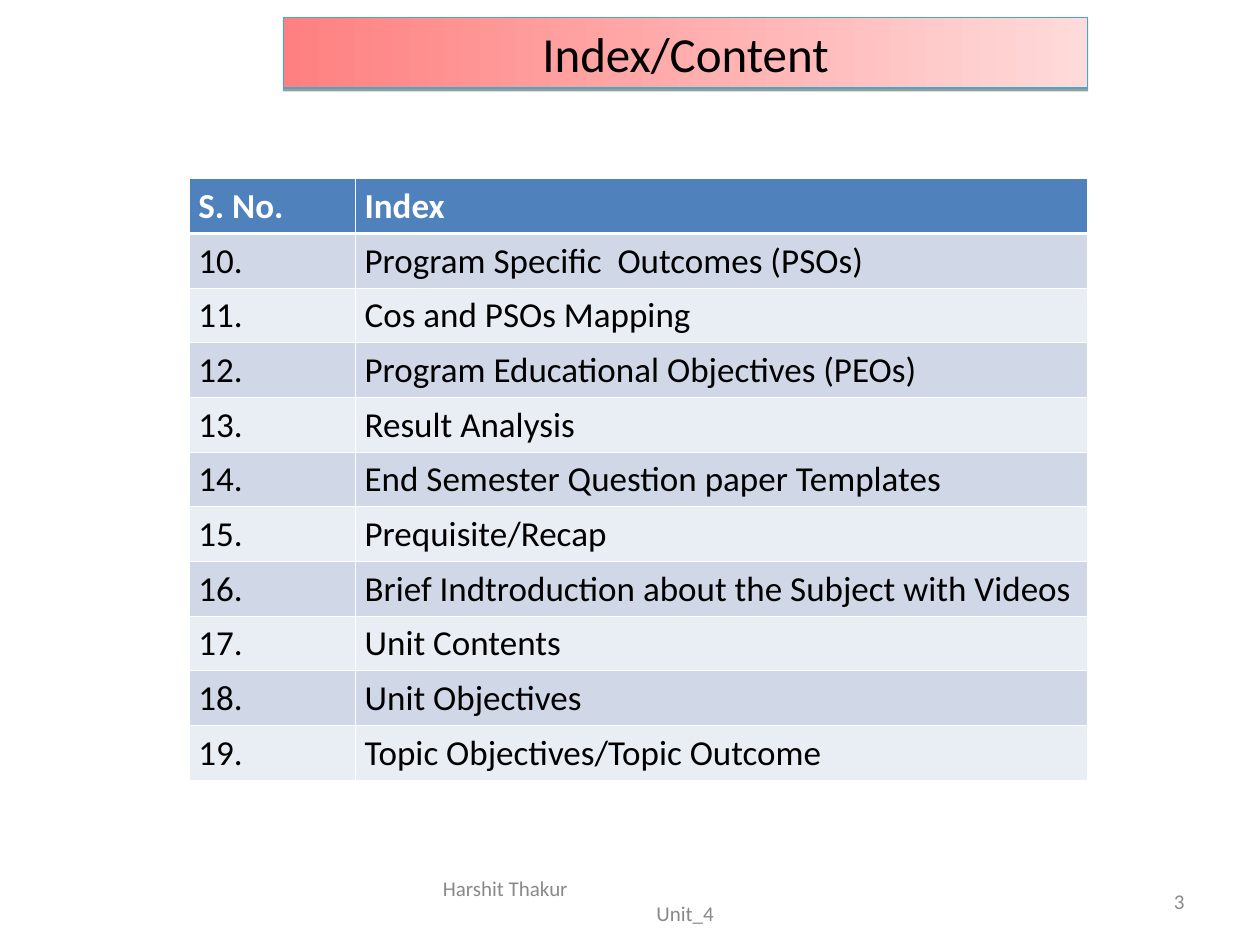
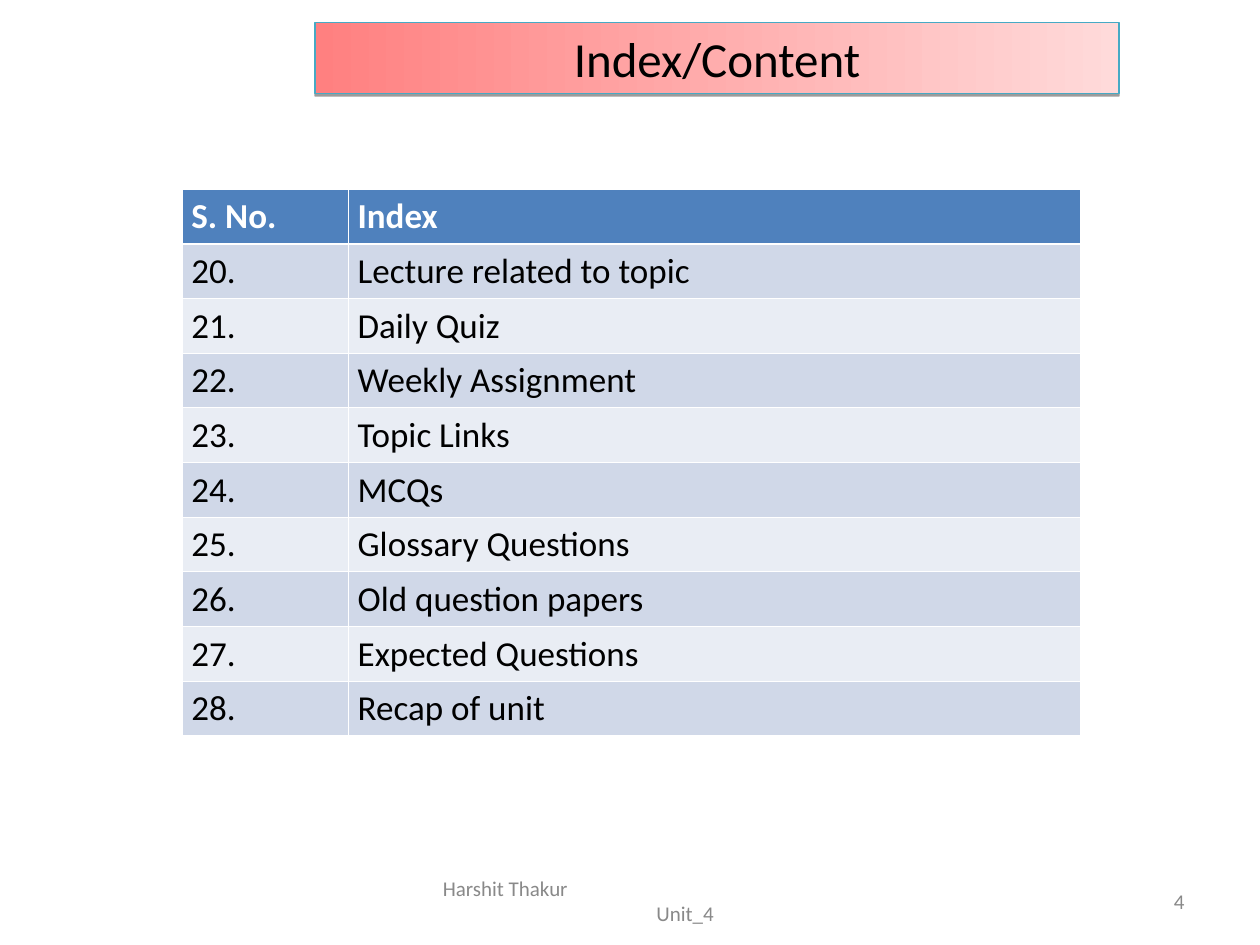
from lxml.etree import SubElement
from pptx import Presentation
from pptx.dml.color import RGBColor
from pptx.enum.shapes import MSO_SHAPE as SHAPE
from pptx.enum.text import MSO_ANCHOR as ANCHOR, PP_ALIGN as ALIGN
from pptx.oxml.ns import qn
from pptx.util import Pt

WHITE, BLACK, GREY = "FFFFFF", "000000", "898989"
HEADER, BANDS = "4F81BD", ["E9EDF4", "D0D8E8"]
TITLE_STOPS, TITLE_LINE = ["FF8080", "FFDADA"], "46AAC5"
COL_WIDTHS, ROW_HEIGHT = [95, 418.4], 29.4
THIN, THICK = 0.45, 1.47

INDEXES = [
    dict(page=3, title_at=(162, 10), table_at=(108, 102.2), first=10, topics=[
        "Program Specific  Outcomes (PSOs)",
        "Cos and PSOs Mapping",
        "Program Educational Objectives (PEOs)",
        "Result Analysis",
        "End Semester Question paper Templates",
        "Prequisite/Recap",
        "Brief Indtroduction about the Subject with Videos",
        "Unit Contents",
        "Unit Objectives",
        "Topic Objectives/Topic Outcome"]),
    dict(page=4, title_at=(180, 13), table_at=(104, 108), first=20, topics=[
        "Lecture related to topic",
        "Daily Quiz",
        "Weekly Assignment",
        "Topic Links",
        "MCQs",
        "Glossary Questions",
        "Old question papers",
        "Expected Questions",
        "Recap of unit"]),
]


def rgb(value):
    return RGBColor.from_string(value)


def style(p, size, color, align=ALIGN.LEFT, bold=False):
    p.alignment = align
    for r in p.runs:
        r.font.name = "Calibri"
        r.font.size = Pt(size)
        r.font.bold = bold
        r.font.color.rgb = rgb(color)


prs = Presentation()
prs.slide_width, prs.slide_height = Pt(720), Pt(540)

for index in INDEXES:
    s = prs.slides.add_slide(prs.slide_layouts[6])

    footers = [(246, 228, "Harshit Thakur\nUnit_4", ALIGN.LEFT),
               (516, 168, str(index["page"]), ALIGN.RIGHT)]
    for left, width, text, align in footers:
        tf = s.shapes.add_textbox(Pt(left), Pt(500.5), Pt(width), Pt(28.75)).text_frame
        tf.word_wrap = True
        tf.vertical_anchor = ANCHOR.MIDDLE
        tf.text = text
        for i, p in enumerate(tf.paragraphs):
            p._p.get_or_add_pPr().set("marL", str(Pt(122 * i)))
            style(p, 12, GREY, align)

    rows = [("S. No.", "Index")]
    rows += [(f"{n}.", topic) for n, topic in enumerate(index["topics"], index["first"])]
    left, top = index["table_at"]
    tbl = s.shapes.add_table(len(rows), 2, Pt(left), Pt(top), Pt(sum(COL_WIDTHS)),
                             Pt(ROW_HEIGHT * len(rows))).table
    for col, width in zip(tbl.columns, COL_WIDTHS):
        col.width = Pt(width)
    for i, row in enumerate(rows):
        tbl.rows[i].height = Pt(ROW_HEIGHT)
        for j, text in enumerate(row):
            cell = tbl.cell(i, j)
            cell.margin_left = cell.margin_right = Pt(5.4)
            cell.text = text
            style(cell.text_frame.paragraphs[0], 20, BLACK if i else WHITE, bold=i == 0)
            borders = {"L": THIN, "R": THIN,
                       "T": THICK if i == 1 else THIN,
                       "B": THICK if i == 0 else THIN}
            for side, width in borders.items():
                ln = SubElement(cell._tc.get_or_add_tcPr(), qn(f"a:ln{side}"), w=str(Pt(width)))
                SubElement(SubElement(ln, qn("a:solidFill")), qn("a:srgbClr"), val=WHITE)
            cell.fill.solid()
            cell.fill.fore_color.rgb = rgb(BANDS[i % 2] if i else HEADER)

    left, top = index["title_at"]
    sp = s.shapes.add_shape(SHAPE.RECTANGLE, Pt(left), Pt(top), Pt(459.4), Pt(40.3))
    sp.fill.gradient()
    sp.fill.gradient_angle = 0
    for stop, color, position in zip(sp.fill.gradient_stops, TITLE_STOPS, [0, 1]):
        stop.color.rgb = rgb(color)
        stop.position = position
    sp.line.color.rgb = rgb(TITLE_LINE)
    sp.line.width = Pt(0.75)
    sp.shadow.inherit = False
    shadow = SubElement(sp._element.spPr.find(qn("a:effectLst")), qn("a:outerShdw"),
                        blurRad="0", dist=str(Pt(1.6)), dir="5400000", rotWithShape="0")
    shade = SubElement(shadow, qn("a:srgbClr"), val=BLACK)
    SubElement(shade, qn("a:alpha"), val="38000")
    tf = sp.text_frame
    tf.vertical_anchor = ANCHOR.MIDDLE
    tf.text = "Index/Content"
    style(tf.paragraphs[0], 28, BLACK, ALIGN.CENTER)

prs.save("out.pptx")
